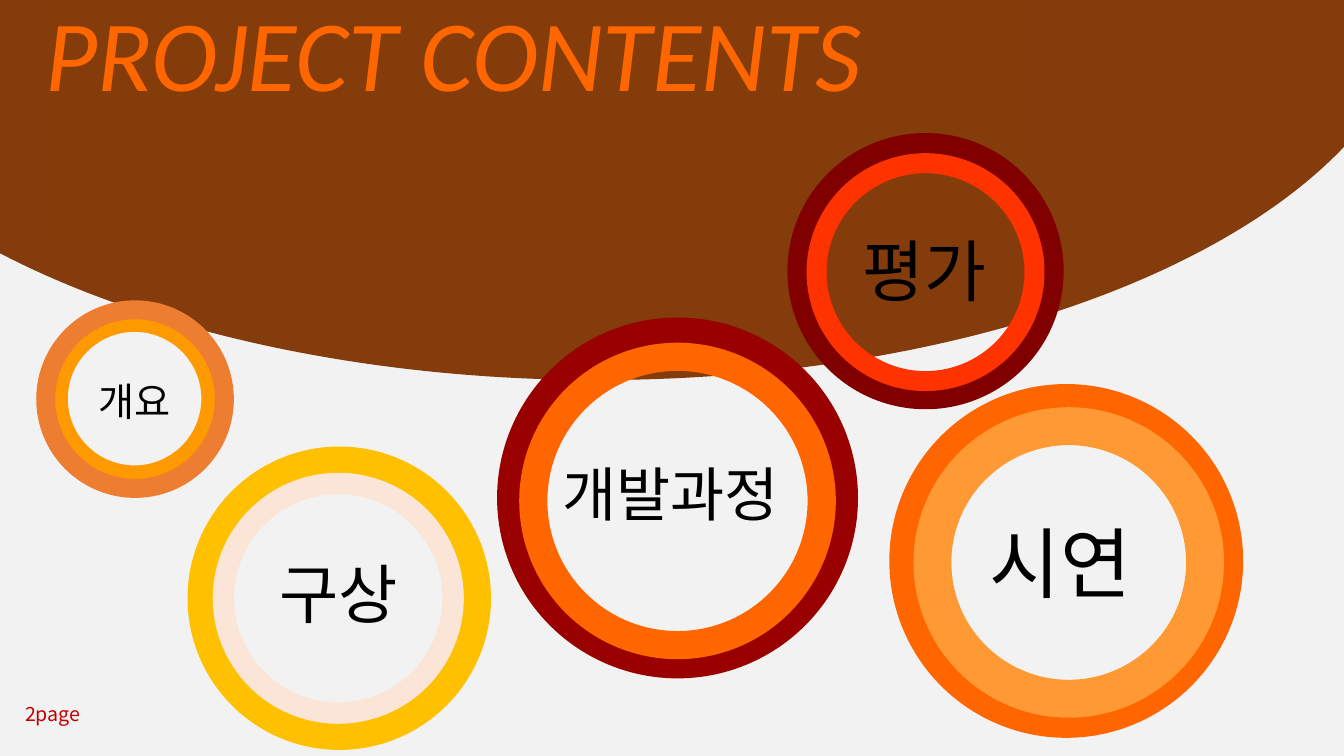
from pptx import Presentation
from pptx.dml.color import RGBColor
from pptx.enum.shapes import MSO_SHAPE as Shape
from pptx.enum.text import MSO_ANCHOR as Anchor, PP_ALIGN as Align
from pptx.oxml.ns import qn
from pptx.util import Pt
from lxml.etree import SubElement

presentation = Presentation()
presentation.slide_width, presentation.slide_height = 12188952, 6858000
slide = presentation.slides.add_slide(presentation.slide_layouts[6])
cell = presentation.slide_height // 750  # the slide is a grid of 1333 x 750 cells
KOREAN = "Noto Sans CJK KR"


def add_filled(preset, box, color):
    shape = slide.shapes.add_shape(preset, *[cell * cells for cells in box])
    shape.shadow.inherit = False
    shape.fill.solid()
    shape.fill.fore_color.rgb = RGBColor.from_string(color)
    shape.line.fill.background()
    return shape


def write(shape, text, size, color, font=KOREAN, italic=False):
    text_frame = shape.text_frame
    text_frame.word_wrap = True
    text_frame.vertical_anchor = Anchor.TOP
    text_frame.text = text
    paragraph = text_frame.paragraphs[0]
    paragraph.alignment = Align.LEFT
    run = paragraph.runs[0]
    run.font.size, run.font.name, run.font.italic = Pt(size), font, italic
    run.font.color.rgb = RGBColor.from_string(color)
    # Korean glyphs take the East Asian typeface
    SubElement(run.font._element, qn("a:ea")).set("typeface", font)


# Background and large brown ellipse
slide.background.fill.solid()
slide.background.fill.fore_color.rgb = RGBColor.from_string("F2F2F2")
add_filled(Shape.OVAL, (-223, -426, 1633, 803), "843C0C")

# Title
title = add_filled(Shape.RECTANGLE, (35, -14, 980, 252), "843C0B")
write(title, "PROJECT CONTENTS", 72, "FF6600", "Calibri", italic=True)

# Topic rings, back to front: left, top, diameter, thickness share, color
rings = [
    (47, 309, 173, 0.117, "FF9900"), (36, 298, 196, 0.096, "ED7D31"),
    (186, 443, 301, 0.092, "FFC000"), (211, 469, 249, 0.085, "FBE5D6"),
    (493, 315, 358, 0.089, "990000"), (515, 340, 314, 0.089, "FF6600"),
    (882, 381, 351, 0.084, "FF6600"), (906, 404, 308, 0.122, "FF9933"),
    (781, 132, 274, 0.084, "800000"), (800, 152, 236, 0.084, "FF3300"),
]
for left, top, diameter, thickness, color in rings:
    ring = add_filled(Shape.DONUT, (left, top, diameter, diameter), color)
    ring.adjustments[0] = thickness

# Topic labels and page number: text, box, size, color
labels = [
    ("개요", (88, 369, 115, 57), 28, "000000"),
    ("구상", (267, 545, 153, 88), 46, "000000"),
    ("개발과정", (548, 449, 330, 81), 42, "000000"),
    ("시연", (972, 507, 222, 103), 55, "000000"),
    ("평가", (846, 223, 171, 91), 48, "000000"),
    ("2page", (15, 691, 104, 34), 14, "C00000"),
]
for text, box, size, color in labels:
    label = slide.shapes.add_textbox(*[cell * cells for cells in box])
    write(label, text, size, color)

presentation.save("out.pptx")
